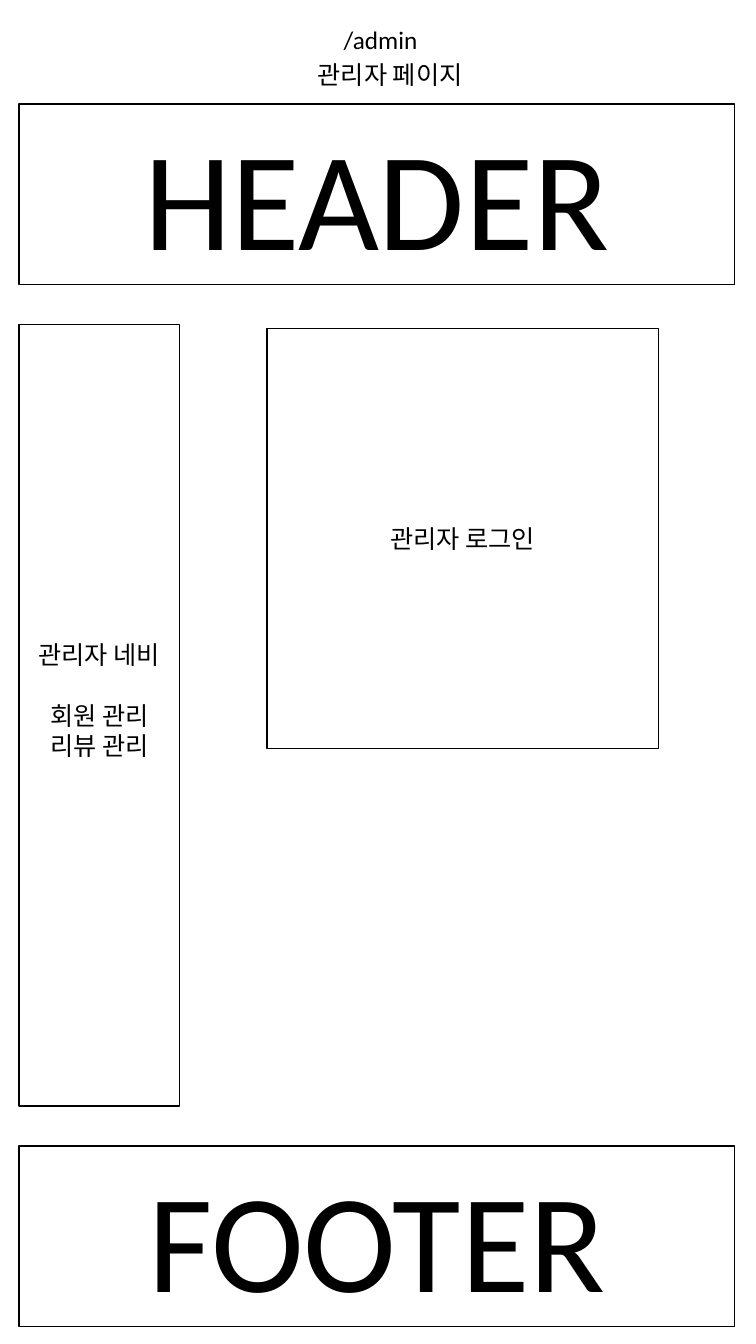
from dataclasses import dataclass

from pptx import Presentation
from pptx.dml.color import RGBColor
from pptx.enum.shapes import MSO_SHAPE
from pptx.enum.text import MSO_ANCHOR, MSO_AUTO_SIZE, PP_ALIGN
from pptx.util import Cm, Pt

BLACK = RGBColor(0, 0, 0)
WHITE = RGBColor(255, 255, 255)
FONT = "Calibri"
BODY_SIZE = 18
BANNER_SIZE = 100
TITLE_ONLY_LAYOUT = 5

MARGIN = 0.48
CONTENT_WIDTH = 18.03
BANNER_HEIGHT = 4.55
HEADER_TOP = 2.62
GAP = 1.01
NAVIGATION_HEIGHT = 19.69
CAPTION_HEIGHT = 1.02


@dataclass
class Box:
    left: float
    top: float
    width: float
    height: float

    def lengths(self):
        return Cm(self.left), Cm(self.top), Cm(self.width), Cm(self.height)


def format_text(text_frame, size, alignment):
    for paragraph in text_frame.paragraphs:
        paragraph.alignment = alignment
        for run in paragraph.runs:
            run.font.name = FONT
            run.font.size = Pt(size)
            run.font.color.rgb = BLACK


def add_panel(slide, box, text, size=BODY_SIZE):
    shape = slide.shapes.add_shape(MSO_SHAPE.RECTANGLE, *box.lengths())
    shape.shadow.inherit = False
    shape.fill.solid()
    shape.fill.fore_color.rgb = WHITE
    shape.line.color.rgb = BLACK
    shape.line.width = Pt(1)
    text_frame = shape.text_frame
    text_frame.word_wrap = True
    text_frame.vertical_anchor = MSO_ANCHOR.MIDDLE
    text_frame.text = text
    format_text(text_frame, size, PP_ALIGN.CENTER)
    return text_frame


def format_caption(text_frame, text):
    text_frame.text = text
    text_frame.word_wrap = False
    text_frame.vertical_anchor = MSO_ANCHOR.TOP
    format_text(text_frame, BODY_SIZE, PP_ALIGN.LEFT)


def add_page_caption(slide, box):
    address_box = Box(box.left + 0.66, box.top, 2.39, CAPTION_HEIGHT)
    address = slide.shapes.add_textbox(*address_box.lengths())
    format_caption(address.text_frame, "/admin")

    title_box = Box(box.left, box.top + 0.89, box.width, CAPTION_HEIGHT)
    title = slide.shapes.title
    title.left, title.top, title.width, title.height = title_box.lengths()
    title.text_frame.auto_size = MSO_AUTO_SIZE.NONE
    format_caption(title.text_frame, "관리자 페이지")


def add_navigation(slide, box):
    text_frame = add_panel(slide, box, "관리자 네비\n회원 관리\n리뷰 관리")
    text_frame.paragraphs[1].space_before = Pt(21.5)
    text_frame.margin_bottom = Cm(0.89)


def build_admin_page(slide, box):
    navigation_top = box.top + BANNER_HEIGHT + GAP
    footer_top = navigation_top + NAVIGATION_HEIGHT + GAP
    header_box = Box(box.left, box.top, box.width, BANNER_HEIGHT)
    footer_box = Box(box.left, footer_top, box.width, BANNER_HEIGHT)

    add_panel(slide, header_box, "HEADER", BANNER_SIZE)
    add_panel(slide, footer_box, "FOOTER", BANNER_SIZE)
    add_page_caption(slide, Box(box.left + 7.27, MARGIN, 4.5, 1.91))
    add_navigation(slide, Box(box.left, navigation_top, 4.04, NAVIGATION_HEIGHT))
    add_panel(slide, Box(box.left + 6.25, navigation_top + 0.1, 9.86, 10.59), "관리자 로그인")


presentation = Presentation()
presentation.slide_width = Cm(19.05)
presentation.slide_height = Cm(33.87)
admin_slide = presentation.slides.add_slide(presentation.slide_layouts[TITLE_ONLY_LAYOUT])
page_height = 2 * (BANNER_HEIGHT + GAP) + NAVIGATION_HEIGHT
build_admin_page(admin_slide, Box(MARGIN, HEADER_TOP, CONTENT_WIDTH, page_height))
presentation.save("out.pptx")
